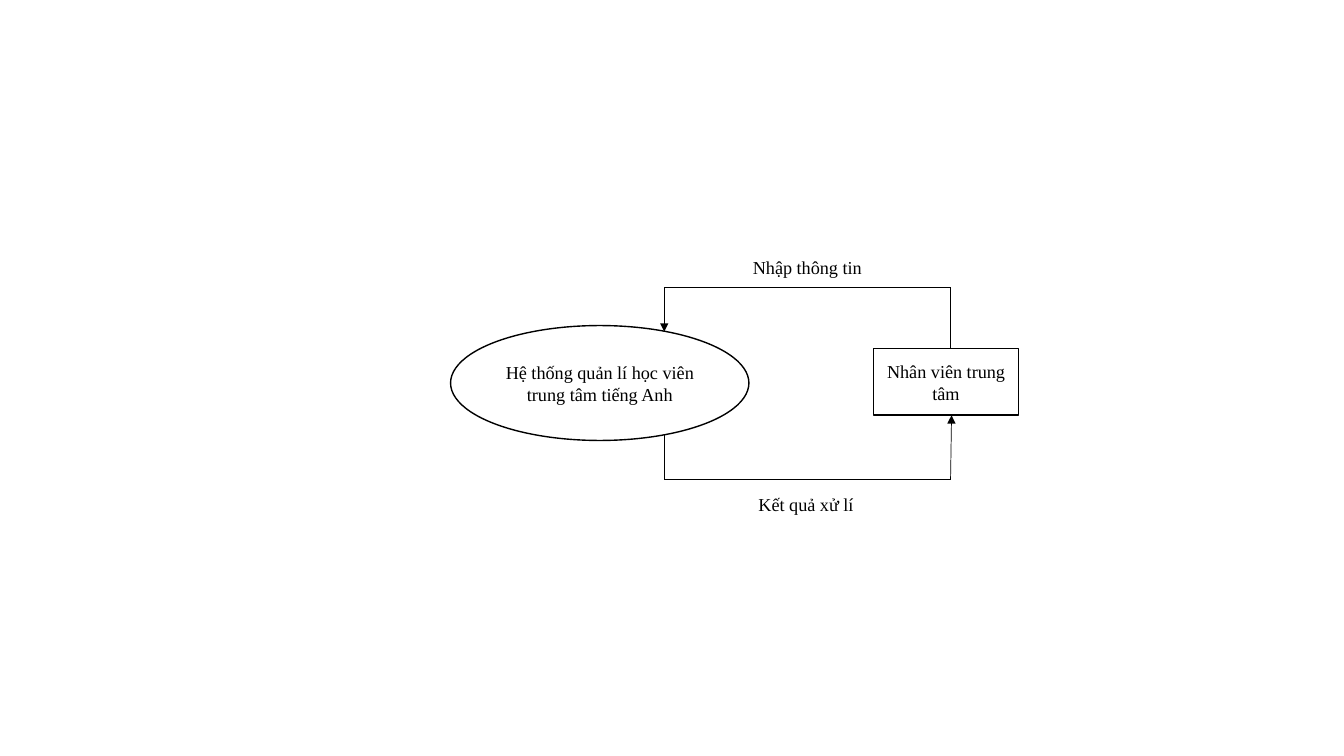
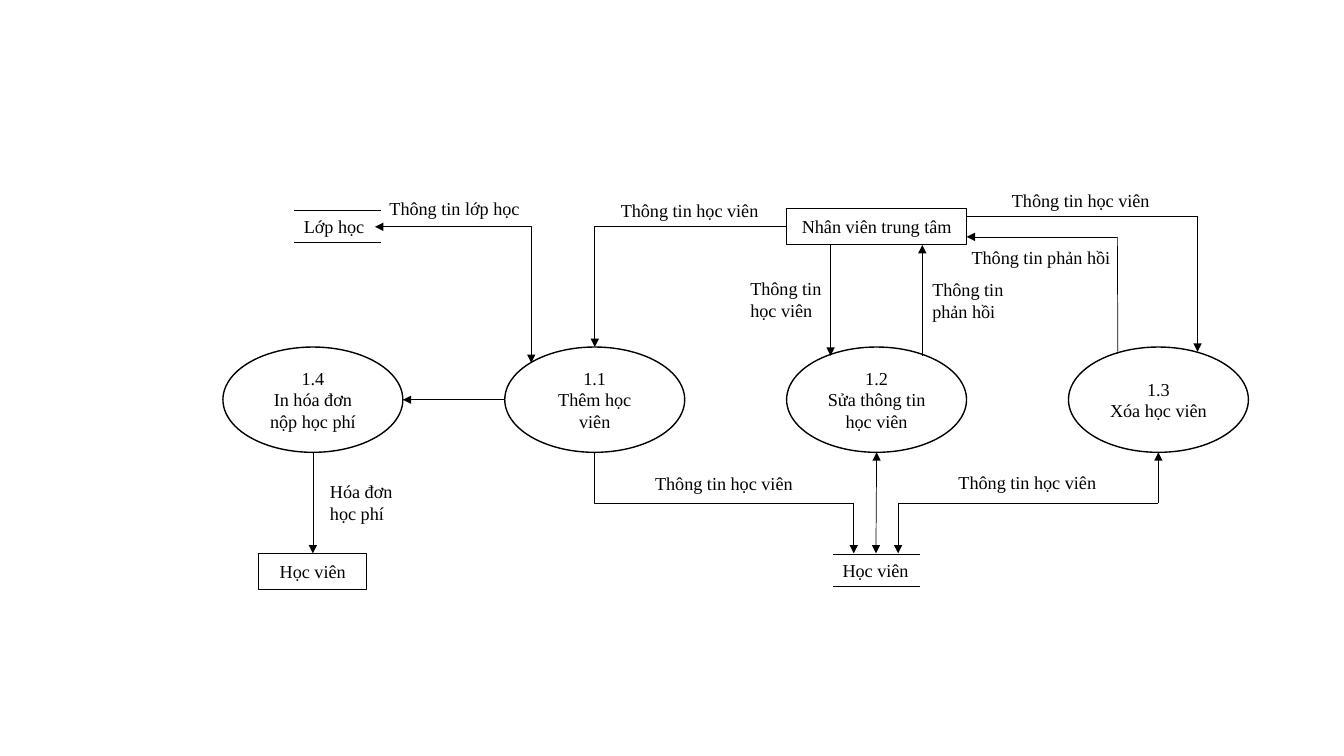
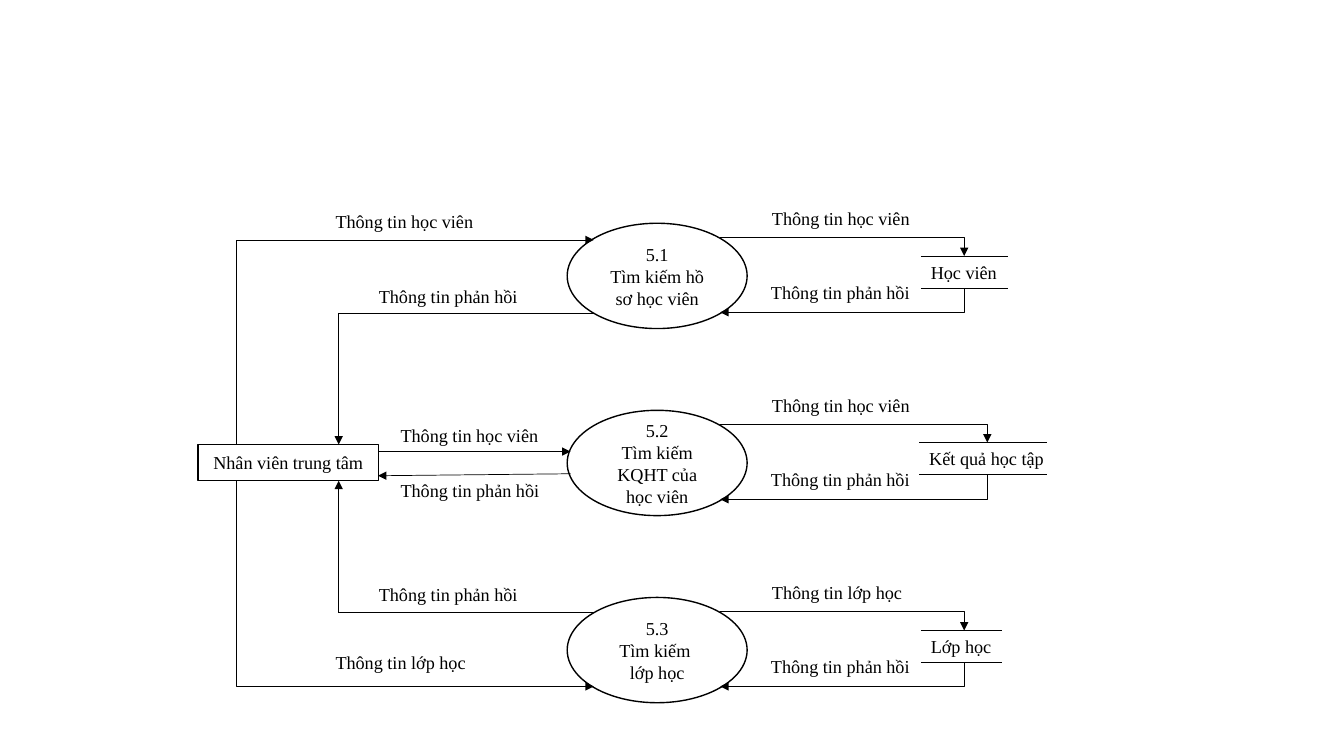
from dataclasses import dataclass
from itertools import pairwise

from lxml.etree import SubElement
from pptx import Presentation
from pptx.dml.color import RGBColor as Rgb
from pptx.enum.shapes import MSO_CONNECTOR as Wire, MSO_SHAPE as Form
from pptx.enum.text import MSO_ANCHOR as Anchor, MSO_AUTO_SIZE as Fit, PP_ALIGN as Align
from pptx.oxml.ns import qn
from pptx.shapes.connector import Connector
from pptx.slide import Slide
from pptx.text.text import TextFrame
from pptx.util import Inches, Pt

CELL = Inches(0.1)
COLS, ROWS = 133.33, 75
OVAL_W, OVAL_H = 17.85, 10.45
BAR = 3.6
LINE_H = 3.2
TURN = 60000
STAFF = "Nhân viên trung tâm"
PUPIL = "Học viên"
CLASS = "Lớp học"
INFO = "Thông tin học viên"
REPLY = "Thông tin phản hồi"
GROUP = "Thông tin lớp học"

Spot = tuple[float, float]


@dataclass(frozen=True)
class Theme:
    ink: Rgb = Rgb(0, 0, 0)
    paper: Rgb = Rgb(255, 255, 255)
    font: str = "Times New Roman"
    size: Pt = Pt(13)
    edge: Pt = Pt(1)
    thin: Pt = Pt(0.5)


THEME = Theme()


@dataclass(frozen=True)
class Node:
    text: str
    x: float
    y: float
    w: float = OVAL_W
    h: float = OVAL_H
    form: Form = Form.OVAL


@dataclass(frozen=True)
class Store:
    text: str
    x: float
    y: float
    w: float = 8.7


@dataclass(frozen=True)
class Note:
    text: str
    x: float
    y: float
    w: float = 16.2
    h: float = LINE_H


@dataclass(frozen=True)
class Flow:
    stops: tuple[Spot, ...]
    head: bool = False
    tail: bool = True


@dataclass(frozen=True)
class Bend:
    start: Spot
    end: Spot
    upright: bool = False
    head: bool = False
    tail: bool = True


def grid(*cells: float) -> list[int]:
    return [round(cell * CELL) for cell in cells]


def write(frame: TextFrame, text: str, align: Align) -> None:
    frame.text = text
    frame.word_wrap = True
    for para in frame.paragraphs:
        para.alignment = align
        for run in para.runs:
            run.font.name = THEME.font
            run.font.size = THEME.size
            run.font.color.rgb = THEME.ink


def draw_node(slide: Slide, node: Node) -> None:
    shape = slide.shapes.add_shape(node.form, *grid(node.x, node.y, node.w, node.h))
    shape.shadow.inherit = False
    shape.fill.solid()
    shape.fill.fore_color.rgb = THEME.paper
    shape.line.color.rgb = THEME.ink
    shape.line.width = THEME.edge
    shape.text_frame.vertical_anchor = Anchor.MIDDLE
    write(shape.text_frame, node.text, Align.CENTER)


def draw_note(slide: Slide, note: Note) -> None:
    box = slide.shapes.add_textbox(*grid(note.x, note.y, note.w, note.h))
    write(box.text_frame, note.text, Align.LEFT)
    box.text_frame.auto_size = Fit.SHAPE_TO_FIT_TEXT


def ink(wire: Connector, head: bool, tail: bool) -> None:
    wire.line.color.rgb = THEME.ink
    wire.line.width = THEME.thin
    stroke = wire.line._get_or_add_ln()
    for tag, used in (("a:headEnd", head), ("a:tailEnd", tail)):
        if used:
            SubElement(stroke, qn(tag), type="triangle")
    SubElement(wire._element.spPr, qn("a:effectLst"))


def draw_flow(slide: Slide, flow: Flow) -> None:
    legs = list(pairwise(flow.stops))
    for step, (start, end) in enumerate(legs):
        wire = slide.shapes.add_connector(Wire.STRAIGHT, *grid(*start, *end))
        ink(wire, flow.head and step == 0, flow.tail and step == len(legs) - 1)


def draw_bend(slide: Slide, bend: Bend) -> None:
    (x1, y1), (x2, y2) = bend.start, bend.end
    left, down = x2 < x1, y2 > y1
    w, h = abs(x2 - x1), abs(y2 - y1)
    if bend.upright:
        w, h = h, w
        angle = 90 if left else 270
        flip, swap = "flipH", left != down
    else:
        angle = 180 if left else 0
        flip, swap = "flipV", left == down
    x, y = (x1 + x2 - w) / 2, (y1 + y2 - h) / 2
    wire = slide.shapes.add_connector(Wire.ELBOW, *grid(x, y, x + w, y + h))
    form = wire._element.spPr
    form.find(qn("a:prstGeom")).set("prst", "bentConnector2")
    frame = form.find(qn("a:xfrm"))
    if angle:
        frame.set("rot", str(angle * TURN))
    if swap:
        frame.set(flip, "1")
    ink(wire, bend.head, bend.tail)


def draw_store(slide: Slide, store: Store) -> None:
    draw_note(slide, Note(store.text, store.x, store.y, store.w + 0.8))
    for y in (store.y, store.y + LINE_H):
        draw_flow(slide, Flow(((store.x, y), (store.x + store.w, y)), tail=False))


DRAW = {Node: draw_node, Store: draw_store, Note: draw_note, Flow: draw_flow, Bend: draw_bend}


def context() -> list:
    left, right = 65.9, 94.3
    return [
        Node("Hệ thống quản lí học viên trung tâm tiếng Anh", 44.7, 32.3, 29.6, 11.4),
        Node(STAFF, 86.65, 34.6, 14.4, 6.6, Form.RECTANGLE),
        Flow(((right, 34.6), (right, 28.5), (left, 28.5), (left, 32.9))),
        Flow(((left, 43.2), (left, 47.6), (right, 47.6), (94.4, 41.2))),
        Note("Nhập thông tin", 73.7, 24.95),
        Note("Kết quả xử lí", 74.25, 48.4),
    ]


def pupils() -> list:
    top = 34.43
    base = top + OVAL_H
    turn = 49.9
    goal = 54.9
    names = (
        "1.4\nIn hóa đơn nộp học phí",
        "1.1\nThêm học viên",
        "1.2\nSửa thông tin học viên",
        "1.3\nXóa học viên",
    )
    lefts = [22.12 + 27.96 * i for i in range(len(names))]
    bill, add, edit, drop = [left + OVAL_W / 2 for left in lefts]
    mid = top + OVAL_H / 2
    return [
        *(Node(name, left, top) for name, left in zip(names, lefts)),
        Node(STAFF, 78.04, 20.67, OVAL_W, BAR, Form.RECTANGLE),
        Node(PUPIL, 25.67, goal, 10.7, BAR, Form.RECTANGLE),
        Store(CLASS, 29.15, 20.87),
        Store(PUPIL, 82.6, 55),
        Bend((78, 22.5), (add, top)),
        Flow(((82.4, 24.3), (82.4, 35.3))),
        Flow(((91.5, 35.3), (91.5, 24.3))),
        Flow(((95.9, 21.5), (118.8, 21.5), (118.8, 34.9))),
        Flow(((110.9, 35.1), (110.85, 23.5), (95.9, 23.5))),
        Flow(((drop, base), (drop, turn), (89.1, turn), (89.1, goal)), head=True),
        Bend((84.7, turn), (add, base), tail=False),
        Flow(((84.7, turn), (84.7, goal))),
        Flow(((edit, base), (86.9, goal)), head=True),
        Flow(((lefts[1], mid), (lefts[0] + OVAL_W, mid))),
        Flow(((bill, base), (bill, goal))),
        Bend((37.2, 22.5), (52.7, 36), head=True),
        Note(INFO, 60.6, 19.3),
        Note(INFO, 99.4, 18.3),
        Note(REPLY, 95.4, 23.95),
        Note(INFO, 73.45, 27.05, 9.3, 5.4),
        Note(REPLY, 91.5, 27.15, 9.2, 5.4),
        Note(INFO, 64, 46.4),
        Note(INFO, 94.1, 46.3),
        Note(GROUP, 37.65, 19.05),
        Note("Hóa đơn học phí", 31.75, 47.15, 9.4, 5.4),
    ]


def search() -> list:
    rows = (
        ("5.1\nTìm kiếm hồ sơ học viên", Store(PUPIL, 91.35, 25.4), 95.65, INFO),
        ("5.2\nTìm kiếm KQHT của học viên", Store("Kết quả học tập", 91.2, 43.9, 12.7), 97.95, INFO),
        ("5.3\nTìm kiếm \nlớp học", Store(CLASS, 91.35, 62.55, 8.1), 95.65, GROUP),
    )
    parts: list = [Node(STAFF, 19.63, 44.1, 17.9, BAR, Form.RECTANGLE)]
    for i, (name, store, x, info) in enumerate(rows):
        y = 22.15 + 18.56 * i
        parts += [
            Node(name, 56.27, y),
            store,
            Bend((71.45, y + 1.4), (x, store.y)),
            Bend((x, store.y + LINE_H), (71.45, y + 8.83), upright=True),
            Note(info, 75.6, y - 2.05),
            Note(REPLY, 75.5, y + 5.28),
        ]
    far, near, edge = 23.4, 33.6, 58.9
    top, base = 44.1, 44.1 + BAR
    return parts + [
        Bend((far, top), (edge, 23.8), upright=True),
        Flow(((edge, 31.05), (near, 31.05), (near, top))),
        Bend((far, base), (edge, 68.1), upright=True),
        Flow(((edge, 60.8), (near, 60.8), (near, base))),
        Flow(((37.5, 44.8), (56.6, 44.8))),
        Flow(((56.6, 47), (37.5, 47.2))),
        Note(INFO, 32.3, 20.4),
        Note(REPLY, 36.6, 27.8),
        Note(INFO, 38.75, 41.6),
        Note(REPLY, 38.75, 47.05),
        Note(REPLY, 36.6, 57.4),
        Note(GROUP, 32.3, 64.1),
    ]


def main() -> None:
    deck = Presentation()
    deck.slide_width, deck.slide_height = grid(COLS, ROWS)
    for plan in (context, pupils, search):
        slide = deck.slides.add_slide(deck.slide_layouts[6])
        for part in plan():
            DRAW[type(part)](slide, part)
    deck.save("out.pptx")


if __name__ == "__main__":
    main()
